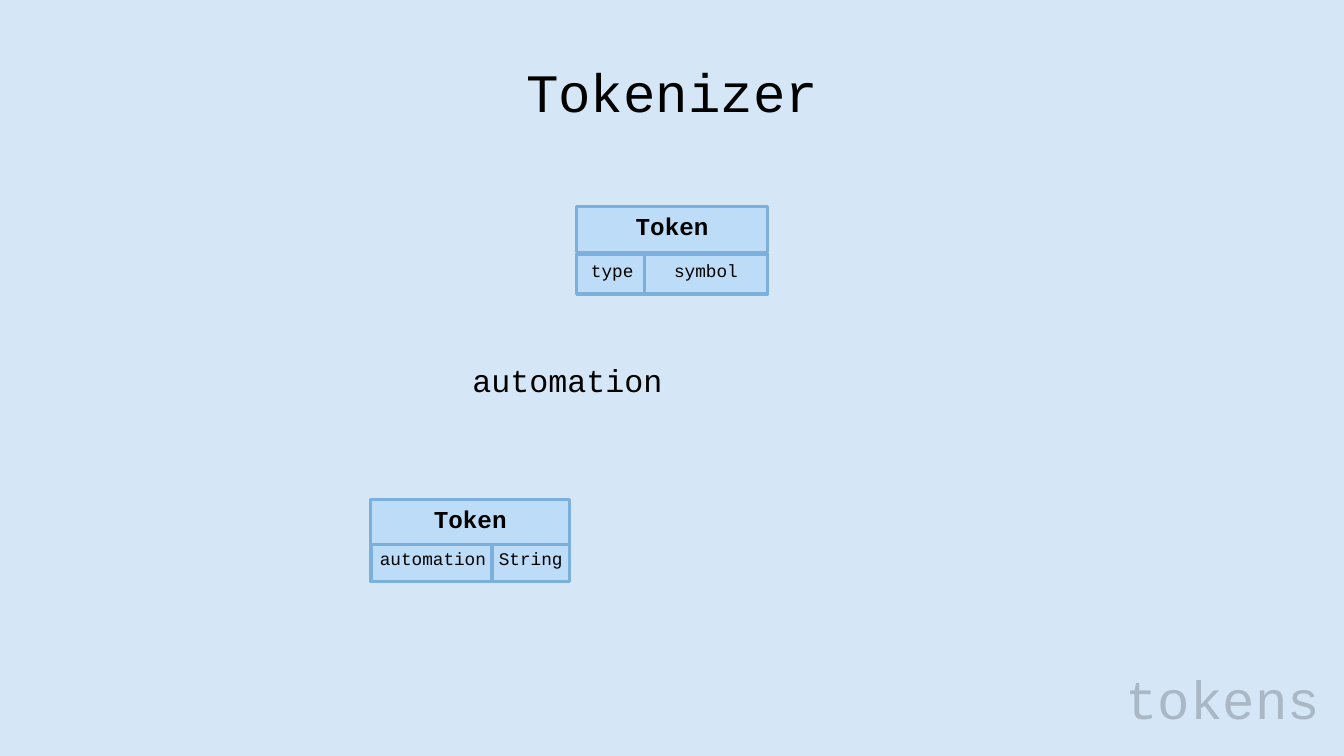
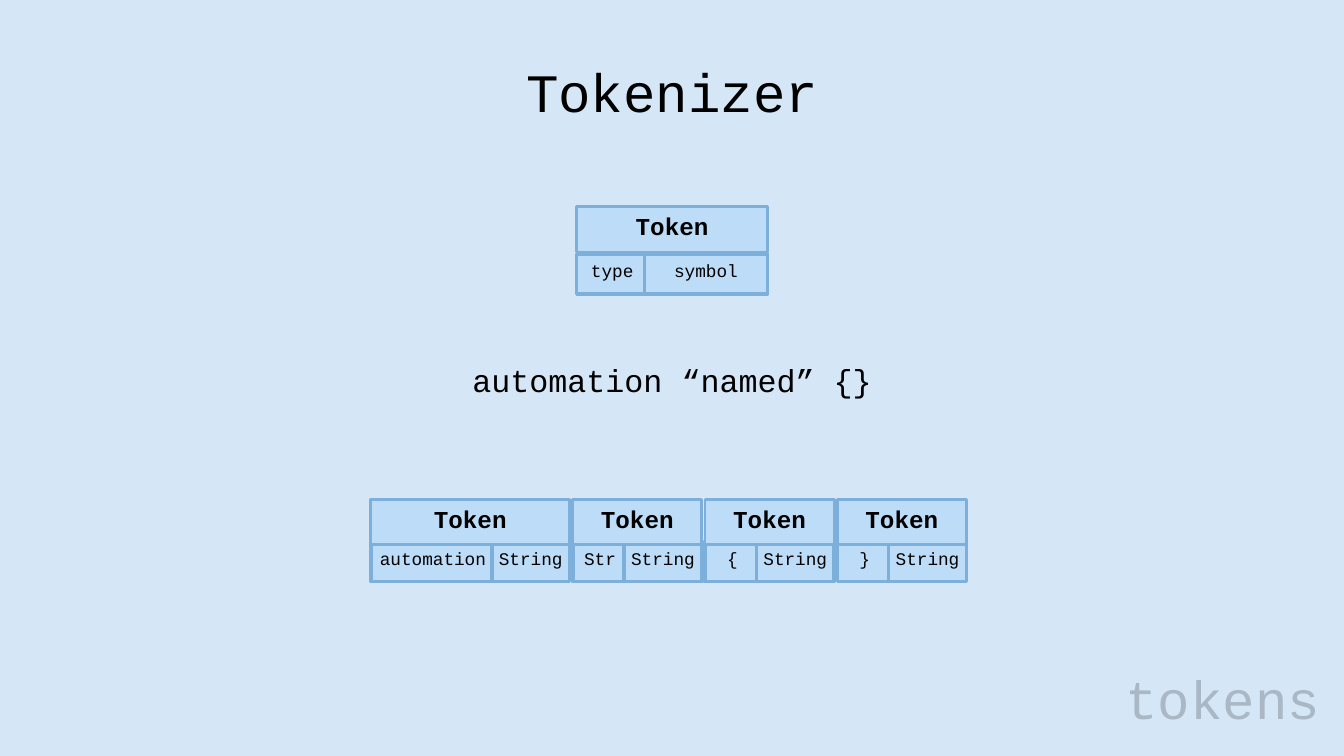
from dataclasses import dataclass

from lxml import etree
from pptx import Presentation
from pptx import util as u
from pptx.dml.color import RGBColor
from pptx.enum import shapes, text
from pptx.oxml.ns import qn
from pptx.slide import Slide
from pptx.text.text import TextFrame


@dataclass(frozen=True)
class Theme:
    font: str = "Courier New"
    ink: RGBColor = RGBColor(0x00, 0x00, 0x00)
    background: RGBColor = RGBColor(0xD5, 0xE7, 0xF7)
    card_fill: RGBColor = RGBColor(0xBC, 0xDC, 0xF8)
    card_line: RGBColor = RGBColor(0x7D, 0xAF, 0xDB)
    title_size: float = 58
    code_size: float = 34
    head_size: float = 26
    cell_size: float = 19
    line_spacing: float = 1.4  # times the type size
    head_line: float = 3
    cell_line: float = 3.75
    footer_opacity: int = 20  # per cent


@dataclass(frozen=True)
class Box:
    """A rectangle in centimetres."""
    left: float
    top: float
    width: float
    height: float

    def lengths(self) -> tuple[u.Cm, ...]:
        return tuple(u.Cm(n) for n in (self.left, self.top, self.width, self.height))


@dataclass(frozen=True)
class Token:
    key: str
    value: str
    key_width: float
    value_width: float = 2.94

    @property
    def width(self) -> float:
        return self.key_width + self.value_width - OVERLAP


@dataclass(frozen=True)
class Step:
    code: str
    code_width: float
    tokens: tuple[Token, ...]


THEME = Theme()
ALIGN = text.PP_ALIGN

# Card geometry, in centimetres
OVERLAP = 0.12  # neighbouring cells share a border
CARD_GAP = 0.12
HEAD_HEIGHT, HEAD_LIFT = 1.73, 0.46
CELL_HEIGHT, CELL_LIFT = 1.52, 0.4
SIDE_INSET = 0.15

# Places shared by the slides
TITLE_BOX = Box(19.88, 1.8, 11.05, 2.79)
FOOTER_BOX = Box(42.52, 24.74, 7.37, 2.79)
SCHEMA_LEFT, SCHEMA_TOP, SCHEMA_CELL_DROP = 21.8, 7.8, 1.8
OUTPUT_LEFT, OUTPUT_TOP, OUTPUT_CELL_DROP = 14.02, 18.87, 1.6
CODE_LEFT, CODE_TOP, CODE_HEIGHT = 17.86, 13.41, 1.57

# Content
SCHEMA = Token("type", "symbol", 2.68, 4.65)
AUTOMATION = Token("automation", "String", 4.69)
SHORT_TOKENS = tuple(Token(key, "String", 2.06) for key in ("Str", "{", "}"))
STEPS = (
    Step("automation", 7.19, (AUTOMATION,)),
    Step("automation “named” {}", 15.11, (AUTOMATION, *SHORT_TOKENS)),
)


def write(frame: TextFrame, words: str, size: float, align: ALIGN, bold: bool = False) -> None:
    frame.text = words
    paragraph = frame.paragraphs[0]
    paragraph.alignment = align
    paragraph.line_spacing = u.Pt(size * THEME.line_spacing)
    font = paragraph.font
    font.name, font.size, font.bold = THEME.font, u.Pt(size), bold
    font.color.rgb = THEME.ink


def set_insets(frame: TextFrame, side: float, bottom: float) -> None:
    frame.margin_left = frame.margin_right = u.Cm(side)
    frame.margin_top, frame.margin_bottom = 0, u.Cm(bottom)


def write_label(frame: TextFrame, words: str, size: float, align: ALIGN) -> None:
    """Text that hugs its box, with no insets."""
    set_insets(frame, 0, 0)
    frame.vertical_anchor = text.MSO_ANCHOR.TOP
    frame.word_wrap = False
    frame.auto_size = text.MSO_AUTO_SIZE.SHAPE_TO_FIT_TEXT
    write(frame, words, size, align)


def add_label(slide: Slide, box: Box, words: str, size: float, align: ALIGN) -> TextFrame:
    frame = slide.shapes.add_textbox(*box.lengths()).text_frame
    write_label(frame, words, size, align)
    return frame


def add_cell(slide: Slide, box: Box, words: str, size: float,
             line: float, lift: float, bold: bool = False) -> None:
    cell = slide.shapes.add_shape(shapes.MSO_SHAPE.RECTANGLE, *box.lengths())
    cell.shadow.inherit = False
    cell.fill.solid()
    cell.fill.fore_color.rgb = THEME.card_fill
    cell.line.color.rgb = THEME.card_line
    cell.line.width = u.Pt(line)
    frame = cell.text_frame
    set_insets(frame, SIDE_INSET, lift)
    frame.word_wrap = True
    frame.vertical_anchor = text.MSO_ANCHOR.MIDDLE
    write(frame, words, size, ALIGN.CENTER, bold)


def add_card(slide: Slide, token: Token, left: float, top: float, cell_drop: float) -> None:
    """Key and value cells, with the heading laid over their top edge."""
    value_left = left + token.key_width - OVERLAP
    for words, x, width in ((token.key, left, token.key_width),
                            (token.value, value_left, token.value_width)):
        add_cell(slide, Box(x, top + cell_drop, width, CELL_HEIGHT), words,
                 THEME.cell_size, THEME.cell_line, CELL_LIFT)
    add_cell(slide, Box(left, top, token.width, HEAD_HEIGHT), "Token",
             THEME.head_size, THEME.head_line, HEAD_LIFT, bold=True)


def add_title(slide: Slide) -> None:
    title = slide.shapes.title
    title.left, title.top, title.width, title.height = TITLE_BOX.lengths()
    write_label(title.text_frame, "Tokenizer", THEME.title_size, ALIGN.CENTER)


def add_footer(slide: Slide) -> None:
    footer = add_label(slide, FOOTER_BOX, "tokens", THEME.title_size, ALIGN.RIGHT)
    ink = next(footer.paragraphs[0]._p.iter(qn("a:srgbClr")))
    etree.SubElement(ink, qn("a:alpha"), val=str(THEME.footer_opacity * 1000))


def add_step(prs: Presentation, step: Step) -> None:
    slide = prs.slides.add_slide(prs.slide_layouts[5])
    add_title(slide)

    # Tokens read so far
    left = OUTPUT_LEFT
    for token in step.tokens:
        add_card(slide, token, left, OUTPUT_TOP, OUTPUT_CELL_DROP)
        left += token.width + CARD_GAP

    # What a token holds, and the source text
    add_card(slide, SCHEMA, SCHEMA_LEFT, SCHEMA_TOP, SCHEMA_CELL_DROP)
    code_box = Box(CODE_LEFT, CODE_TOP, step.code_width, CODE_HEIGHT)
    add_label(slide, code_box, step.code, THEME.code_size, ALIGN.LEFT)
    add_footer(slide)


def main() -> None:
    prs = Presentation()
    prs.slide_width, prs.slide_height = u.Cm(50.8), u.Cm(28.58)
    backdrop = prs.slide_master.background.fill
    backdrop.solid()
    backdrop.fore_color.rgb = THEME.background
    for step in STEPS:
        add_step(prs, step)
    prs.save("out.pptx")


if __name__ == "__main__":
    main()
